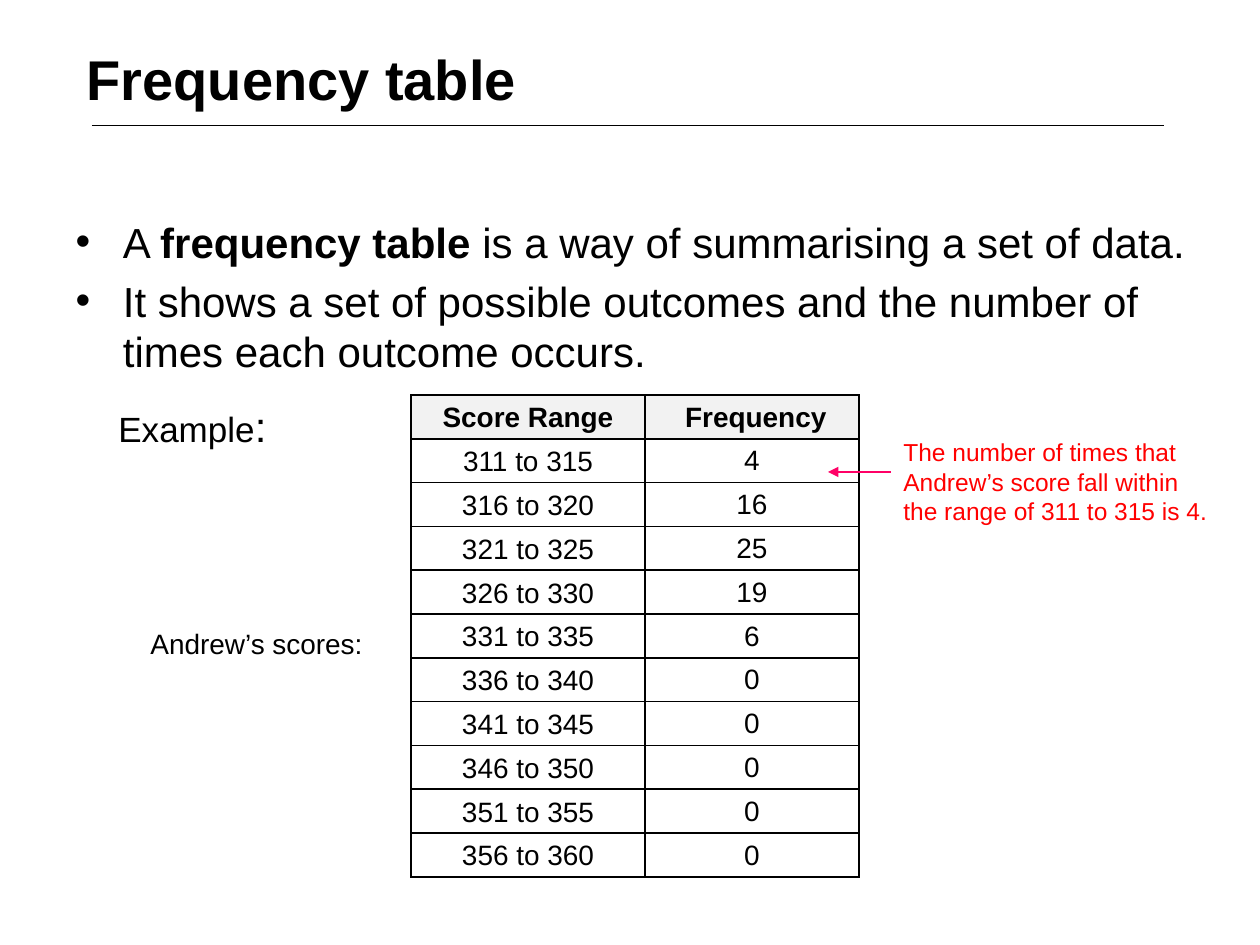
from dataclasses import dataclass

from lxml.etree import SubElement
from pptx import Presentation
from pptx.dml.color import RGBColor
from pptx.enum.shapes import MSO_CONNECTOR as Connector
from pptx.enum.text import MSO_ANCHOR as Anchor, MSO_AUTO_SIZE as AutoSize, PP_ALIGN as Align
from pptx.oxml.ns import qn
from pptx.util import Emu, Pt

BLACK = RGBColor(0x00, 0x00, 0x00)
RED = RGBColor(0xFF, 0x00, 0x00)
PINK = RGBColor(0xFF, 0x00, 0x66)
HEADER_GREY = RGBColor(0xF2, 0xF2, 0xF2)
FONT = "Arial"
PX_PER_INCH = 126

HEADINGS = ("Score Range", " Frequency")
FIRST_SCORE, RANGE_SIZE = 311, 5
FREQUENCIES = (4, 16, 25, 19, 6, 0, 0, 0, 0, 0)
TABLE_LEFT, TABLE_TOP, TABLE_HEIGHT = 411, 395, 482
COLUMN_WIDTHS = (234, 214)


@dataclass(frozen=True)
class Area:
    """Rectangle on the page in px."""
    left: int
    top: int
    width: int
    height: int


@dataclass(frozen=True)
class Label:
    """Text box made of (text, size) spans."""
    area: Area
    spans: tuple
    color: RGBColor = BLACK
    align: Align = Align.LEFT


@dataclass(frozen=True)
class Rule:
    """Straight line between two points in px."""
    start: tuple
    end: tuple
    color: RGBColor
    weight: float
    arrow: bool = False


LABELS = (
    Label(Area(891, 431, 329, 102),
          (("The number of times that Andrew’s score fall within the range of 311 to 315 is 4.", 14),),
          color=RED),
    Label(Area(106, 394, 305, 63), (("Example", 20), (":", 24))),
    Label(Area(126, 620, 249, 47), (("Andrew’s scores:", 16),), align=Align.RIGHT),
)
RULES = (
    Rule((92, 125), (1164, 125), BLACK, 0.25),
    Rule((891, 472), (828, 472), PINK, 0.75, arrow=True),
)


def px(length: int) -> Emu:
    """Turn px into EMU."""
    return Emu(round(length * 914400 / PX_PER_INCH))


def place(shape, area: Area) -> None:
    """Move and size a shape."""
    shape.left, shape.top = px(area.left), px(area.top)
    shape.width, shape.height = px(area.width), px(area.height)


def add_span(para, text: str, *, size: int, bold: bool = False, color: RGBColor = BLACK) -> None:
    """Append formatted text to a paragraph."""
    span = para.add_run()
    span.text = text
    span.font.name, span.font.size, span.font.bold = FONT, Pt(size), bold
    span.font.color.rgb = color


def fill_title(page) -> None:
    """Write the title placeholder."""
    title = page.shapes.title
    place(title, Area(74, 38, 1134, 157))
    frame = title.text_frame
    frame.vertical_anchor, frame.auto_size = Anchor.TOP, AutoSize.NONE
    frame.paragraphs[0].alignment = Align.LEFT
    add_span(frame.paragraphs[0], "Frequency table", size=32, bold=True)


def fill_body(page) -> None:
    """Write the bulleted list."""
    body = page.placeholders[1]
    place(body, Area(63, 210, 1176, 199))
    frame = body.text_frame
    frame.auto_size = AutoSize.NONE
    definition = frame.paragraphs[0]
    add_span(definition, "A ", size=24)
    add_span(definition, "frequency table ", size=24, bold=True)
    add_span(definition, "is a way of summarising a set of data.", size=24)
    add_span(frame.add_paragraph(),
             "It shows a set of possible outcomes and the number of times each outcome occurs.",
             size=24)


def add_label(page, label: Label) -> None:
    """Draw a text box."""
    area = label.area
    box = page.shapes.add_textbox(px(area.left), px(area.top), px(area.width), px(area.height))
    box.text_frame.word_wrap = True
    para = box.text_frame.paragraphs[0]
    para.alignment = label.align
    for text, size in label.spans:
        add_span(para, text, size=size, color=label.color)


def add_rule(page, rule: Rule) -> None:
    """Draw a line, with an arrowhead at its end if asked."""
    line = page.shapes.add_connector(Connector.STRAIGHT, *map(px, rule.start + rule.end))
    line.line.color.rgb, line.line.width = rule.color, Pt(rule.weight)
    properties = line._element.spPr
    if rule.arrow:
        SubElement(properties.find(qn("a:ln")), qn("a:tailEnd"), type="triangle")
    SubElement(properties, qn("a:effectLst"))


def add_borders(cell) -> None:
    """Give all four sides of a cell a black line."""
    properties = cell._tc.get_or_add_tcPr()
    for index, side in enumerate(("L", "R", "T", "B")):
        border = properties.makeelement(qn(f"a:ln{side}"), {"w": str(Pt(1))})
        fill = SubElement(border, qn("a:solidFill"))
        SubElement(fill, qn("a:srgbClr"), val=str(BLACK))
        properties.insert(index, border)


def format_cell(cell, text: str, *, header: bool, anchor: Anchor) -> None:
    """Write and style one table cell."""
    cell.vertical_anchor = anchor
    cell.margin_top, cell.margin_bottom = (px(3), px(5)) if anchor == Anchor.BOTTOM else (px(1), 0)
    para = cell.text_frame.paragraphs[0]
    para.alignment = Align.CENTER
    add_span(para, text, size=16, bold=header)
    if header:
        cell.fill.solid()
        cell.fill.fore_color.rgb = HEADER_GREY
    else:
        cell.fill.background()
    add_borders(cell)


def add_frequency_table(page) -> None:
    """Draw the score ranges and their frequencies."""
    starts = range(FIRST_SCORE, FIRST_SCORE + RANGE_SIZE * len(FREQUENCIES), RANGE_SIZE)
    rows = [HEADINGS] + [(f"{start} to {start + RANGE_SIZE - 1}", str(count))
                         for start, count in zip(starts, FREQUENCIES)]
    table = page.shapes.add_table(len(rows), len(HEADINGS), px(TABLE_LEFT), px(TABLE_TOP),
                                  px(sum(COLUMN_WIDTHS)), px(TABLE_HEIGHT)).table
    table.horz_banding = False
    for column, width in zip(table.columns, COLUMN_WIDTHS):
        column.width = px(width)
    for r, row in enumerate(rows):
        table.rows[r].height = px(TABLE_HEIGHT) // len(rows)
        for c, text in enumerate(row):
            anchor = Anchor.MIDDLE if r and c else Anchor.BOTTOM
            format_cell(table.cell(r, c), text, header=r == 0, anchor=anchor)


def main() -> None:
    """Build and save the deck."""
    deck = Presentation()
    deck.slide_width, deck.slide_height = px(1260), px(945)
    page = deck.slides.add_slide(deck.slide_layouts[1])
    fill_title(page)
    fill_body(page)
    add_frequency_table(page)
    for label in LABELS:
        add_label(page, label)
    for rule in RULES:
        add_rule(page, rule)
    deck.save("out.pptx")


if __name__ == "__main__":
    main()
